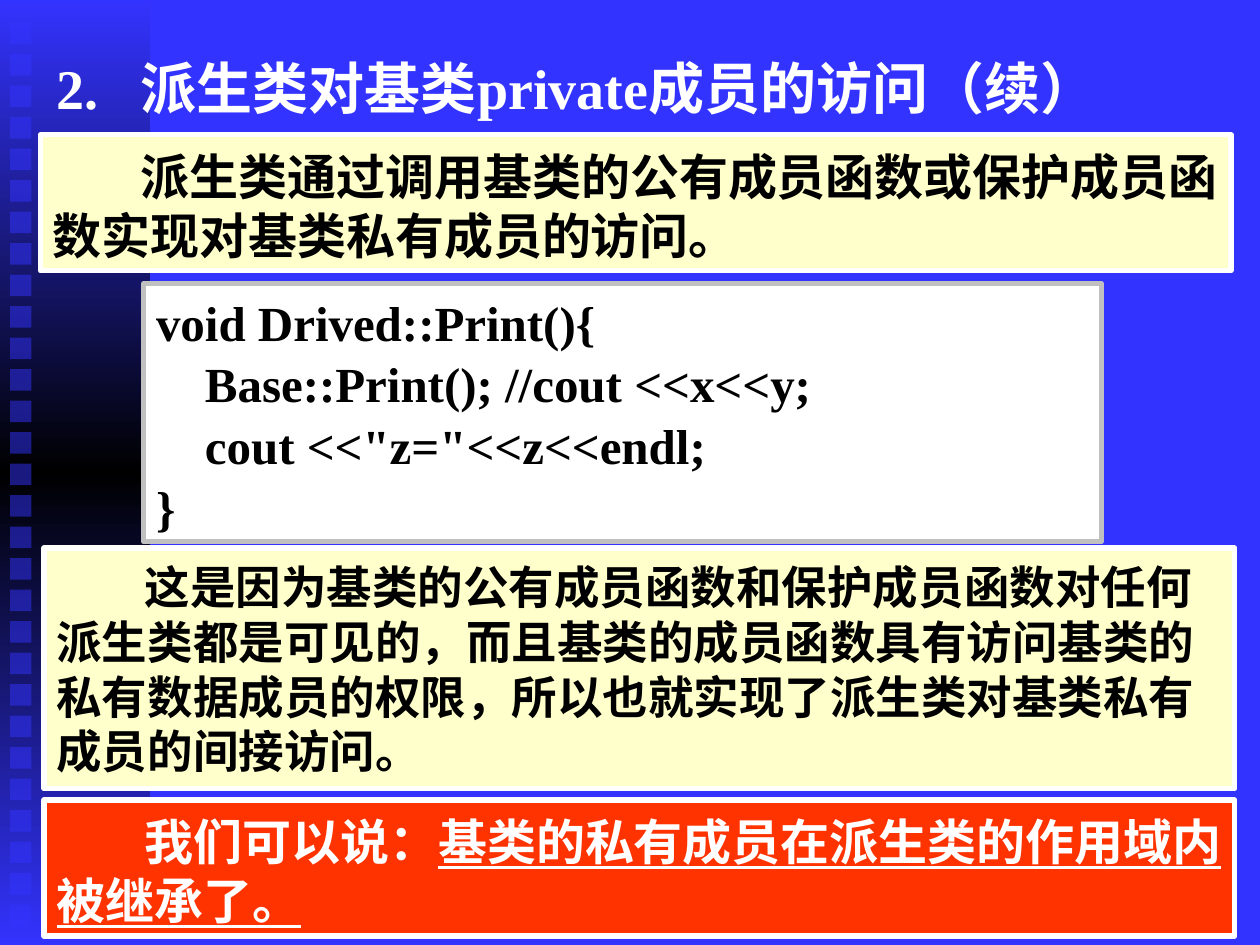
"""Build the slide on derived-class access to private base members."""
from lxml import etree
from pptx import Presentation
from pptx import util as u
from pptx.dml.color import RGBColor
from pptx.enum import shapes, text
from pptx.oxml.ns import qn

COLS, ROWS = 100, 75
CELL = u.Inches(0.1)
FONT = "Times New Roman"
C = {"blue": "3333FF", "black": "000000", "white": "FFFFFF",
     "cream": "FFFFCC", "red": "FF3300", "silver": "C0C0C0"}

TITLE = "2.\t派生类对基类private成员的访问（续）"
RULE = "派生类通过调用基类的公有成员函数或保护成员函数实现对基类私有成员的访问。"
CODE = """void Drived::Print(){
    Base::Print(); //cout <<x<<y;
    cout <<"z="<<z<<endl;
}"""
REASON = ("这是因为基类的公有成员函数和保护成员函数对任何派生类都是可见的，"
          "而且基类的成员函数具有访问基类的私有数据成员的权限，"
          "所以也就实现了派生类对基类私有成员的间接访问。")
LEAD = "我们可以说："
CLAIM = "基类的私有成员在派生类的作用域内被继承了。"


def rgb(name):
    """Return the named colour."""
    return RGBColor.from_string(C[name])


def grid(box):
    """Turn columns and rows into lengths."""
    return [int(n * CELL) for n in box]


def add_rect(s, box, fill, line=None):
    """Add a flat rectangle with an optional border."""
    sp = s.shapes.add_shape(shapes.MSO_SHAPE.RECTANGLE, *grid(box))
    sp.shadow.inherit = False
    sp.fill.solid()
    sp.fill.fore_color.rgb = rgb(fill)
    if line:
        sp.line.color.rgb = rgb(line)
        sp.line.width = u.Pt(3)
    else:
        sp.line.fill.background()
    return sp


def set_frame(sp, anchor, top=0.05):
    """Set wrapping, anchor and insets, and return the text frame."""
    tf = sp.text_frame
    tf.word_wrap = True
    tf.vertical_anchor = anchor
    tf.margin_left = tf.margin_right = u.Inches(0.1)
    tf.margin_top, tf.margin_bottom = u.Inches(top), u.Inches(0.05)
    return tf


def style_run(r, size, color):
    """Set the bold serif font of a run."""
    r.font.name, r.font.size, r.font.bold = FONT, u.Pt(size), True
    r.font.color.rgb = rgb(color)


def sidebar(s, box):
    """Draw the gradient band and its column of squares."""
    x, y, w, h = box
    sp = add_rect(s, box, "blue")
    sp.fill.gradient()
    sp.fill.gradient_angle = 270
    stops = sp.fill._fill._gradFill.find(qn("a:gsLst"))
    for gs in list(stops):
        stops.remove(gs)
    for pos, name in ((0, "blue"), (50, "black"), (100, "blue")):
        gs = etree.SubElement(stops, qn("a:gs"), pos=str(pos * 1000))
        etree.SubElement(gs, qn("a:srgbClr"), val=C[name])
    for i in range(29):
        sq = add_rect(s, (x + 0.8, y + 1.8 + 2.5 * i, 1.7, 1.7), "blue")
        clr = sq._element.spPr.find(qn("a:solidFill"))[0]
        etree.SubElement(clr, qn("a:alpha"), val="50000")


def title(s, box):
    """Write the numbered heading."""
    tf = set_frame(s.shapes.add_textbox(*grid(box)), text.MSO_ANCHOR.MIDDLE)
    p = tf.paragraphs[0]
    p.text = TITLE
    tabs = etree.SubElement(p._p.get_or_add_pPr(), qn("a:tabLst"))
    etree.SubElement(tabs, qn("a:tab"), pos=str(u.Inches(0.67)), algn="l")
    style_run(p.runs[0], 32, "white")


def code_box(s, box):
    """Show the code listing in a framed panel."""
    sp = add_rect(s, box, "white", "silver")
    tf = set_frame(sp, text.MSO_ANCHOR.MIDDLE)
    tf.text = CODE
    for p in tf.paragraphs:
        p.alignment = text.PP_ALIGN.LEFT
        p.line_spacing = 1.05
        style_run(p.runs[0], 28, "black")


def note(s, box, fill, color, size, body, underlined=""):
    """Write an indented paragraph in a white-edged panel."""
    sp = add_rect(s, box, fill, "white")
    p = set_frame(sp, text.MSO_ANCHOR.TOP, 0.09).paragraphs[0]
    p.text = body
    p.alignment = text.PP_ALIGN.LEFT
    p._p.get_or_add_pPr().set("indent", str(u.Inches(0.7)))
    if underlined:
        r = p.add_run()
        r.text = underlined
        r.font.underline = True
    for r in p.runs:
        style_run(r, size, color)


def main():
    """Assemble and save the slide."""
    prs = Presentation()
    prs.slide_width, prs.slide_height = COLS * CELL, ROWS * CELL
    s = prs.slides.add_slide(prs.slide_layouts[6])
    s.background.fill.solid()
    s.background.fill.fore_color.rgb = rgb("blue")
    sidebar(s, (0, 0, 11.9, ROWS))
    code_box(s, (11.4, 22.5, 76, 20.5))
    title(s, (3.5, 2.4, 93.7, 9.1))
    note(s, (3.2, 10.7, 94.5, 10.8), "cream", "black", 28, RULE)
    note(s, (3.5, 43.5, 94.5, 19.1), "cream", "black", 26, REASON)
    note(s, (3.5, 63.5, 94.5, 10.8), "red", "white", 28, LEAD, CLAIM)
    prs.save("out.pptx")


if __name__ == "__main__":
    main()
